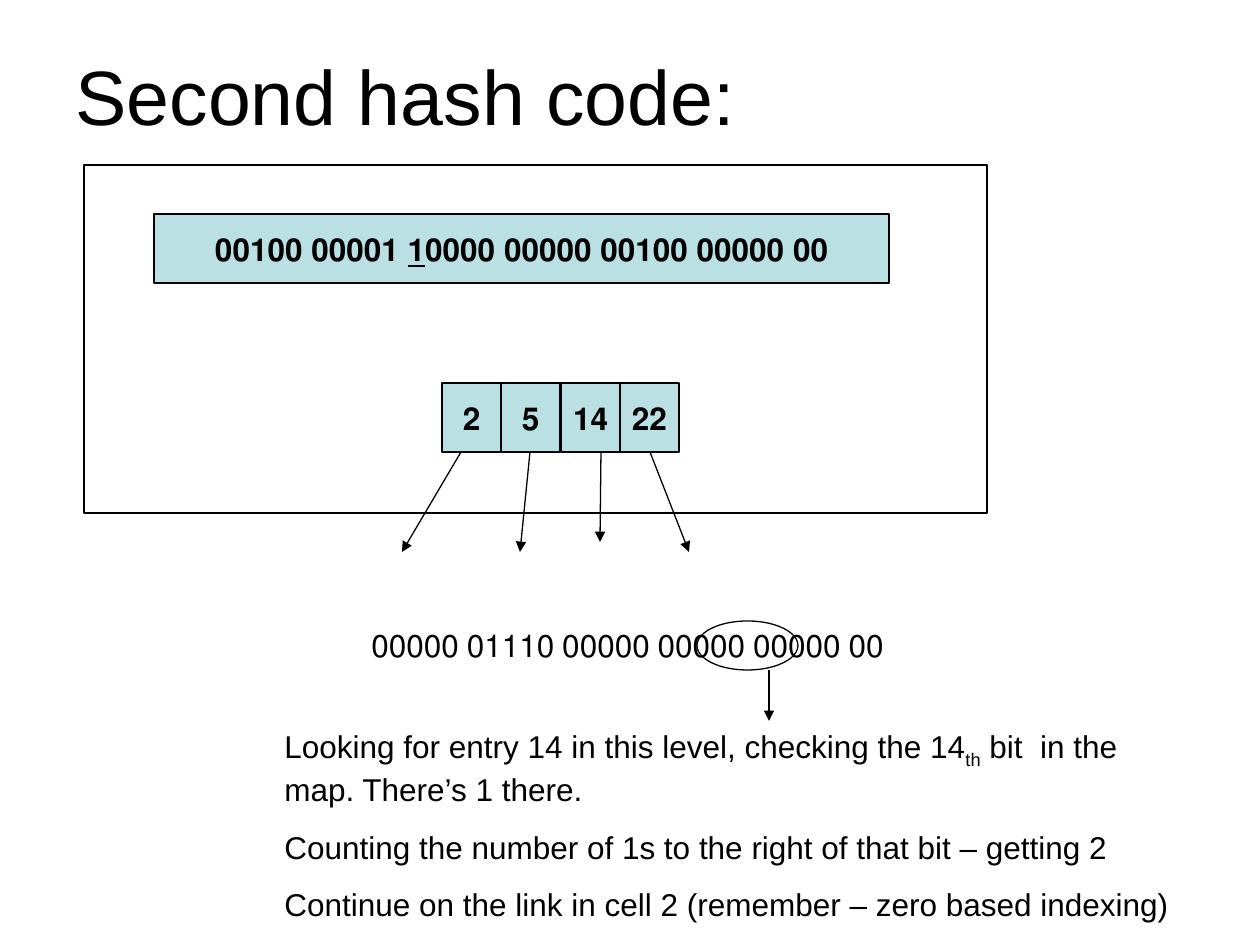
from dataclasses import dataclass
from lxml.etree import SubElement
from pptx import Presentation
from pptx.dml.color import RGBColor as Rgb
from pptx.enum.shapes import MSO_CONNECTOR as Link, MSO_SHAPE as Kind
from pptx.enum.text import MSO_ANCHOR as Anchor, MSO_AUTO_SIZE as Fit, PP_ALIGN as Align
from pptx.oxml.ns import qn
from pptx.util import Emu, Pt

SCALE = 914400 / 126


@dataclass(frozen=True)
class Theme:
    ink: Rgb = Rgb(0, 0, 0)
    fill: Rgb = Rgb(0xBB, 0xE0, 0xE3)
    face: str = "Arial"
    head: int = 44
    body: int = 18
    line: float = 0.75
    gap: float = 11.2


THEME = Theme()


def px(*nums):
    return [Emu(round(n * SCALE)) for n in nums]


def style(para, size, bold=False, align=None, rtl=False):
    if rtl:
        para._p.get_or_add_pPr().set("rtl", "1")
    if align is not None:
        para.alignment = align
    font = para.font
    font.name, font.size, font.bold = THEME.face, Pt(size), bold
    font.color.rgb = THEME.ink


def add_runs(para, *texts):
    runs = []
    for text in texts:
        run = para.add_run()
        run.text = text
        runs.append(run)
    return runs


def add_box(slide, kind, spot, fill=None):
    box = slide.shapes.add_shape(kind, *px(*spot))
    box.shadow.inherit = False
    if fill is None:
        box.fill.background()
    else:
        box.fill.solid()
        box.fill.fore_color.rgb = fill
    box.line.color.rgb = THEME.ink
    box.line.width = Pt(THEME.line)
    return box


def add_cell(slide, spot, *texts):
    box = add_box(slide, Kind.RECTANGLE, spot, THEME.fill)
    frame = box.text_frame
    frame.word_wrap = False
    frame.vertical_anchor = Anchor.MIDDLE
    para = frame.paragraphs[0]
    style(para, THEME.body, bold=True, align=Align.CENTER, rtl=True)
    return add_runs(para, *texts)


def add_arrow(slide, ends):
    arrow = slide.shapes.add_connector(Link.STRAIGHT, *px(*ends))
    arrow.line.color.rgb = THEME.ink
    arrow.line.width = Pt(THEME.line)
    SubElement(arrow.line._get_or_add_ln(), qn("a:tailEnd"), type="triangle")
    SubElement(arrow._element.spPr, qn("a:effectLst"))


def add_text(slide, spot, wrap):
    frame = slide.shapes.add_textbox(*px(*spot)).text_frame
    frame.word_wrap = wrap
    frame.auto_size = Fit.SHAPE_TO_FIT_TEXT
    return frame


def set_title(slide, spot, text):
    title = slide.shapes.title
    title.left, title.top, title.width, title.height = px(*spot)
    frame = title.text_frame
    frame.auto_size = Fit.NONE
    frame.vertical_anchor = Anchor.MIDDLE
    para = frame.paragraphs[0]
    style(para, THEME.head, align=Align.LEFT)
    add_runs(para, text)


def add_notes(slide, spot, rows):
    frame = add_text(slide, spot, True)
    for i, row in enumerate(rows):
        para = frame.add_paragraph() if i else frame.paragraphs[0]
        para.space_before = Pt(THEME.gap if i else 0)
        style(para, THEME.body)
        runs = add_runs(para, *row)
        for run in runs[1:2]:
            run._r.get_or_add_rPr().set("baseline", "-25000")


def main():
    deck = Presentation()
    deck.slide_width, deck.slide_height = px(1260, 945)
    slide = deck.slides.add_slide(deck.slide_layouts[5])

    add_box(slide, Kind.RECTANGLE, (84, 165, 903, 348))
    for i, text in enumerate(("2", "5", "14", "22")):
        add_cell(slide, (442 + i * 238 // 4, 383, 59, 69), text)
    for ends in (
        (461, 452, 402, 552),
        (530, 452, 520, 552),
        (601, 452, 600, 542),
        (650, 452, 689, 552),
    ):
        add_arrow(slide, ends)
    bits = add_cell(slide, (154, 214, 735, 69),
                    "00 00000 00100 00000 ", "1", "0000 00001 00100")
    bits[1].font.underline = True

    set_title(slide, (63, 16, 1134, 158), "Second hash code:")
    code = add_text(slide, (359, 620, 542, 50), False).paragraphs[0]
    style(code, THEME.body, rtl=True)
    add_runs(code, "00 00000 00000 00000 01110 00000")
    add_box(slide, Kind.OVAL, (697, 621, 101, 49))
    add_arrow(slide, (769, 670, 769, 721))
    add_notes(slide, (272, 721, 932, 209), (
        ("Looking for entry 14 in this level, checking the 14", "th",
         " bit  in the map. There’s 1 there."),
        ("Counting the number of 1s to the right of that bit – getting 2",),
        ("Continue on the link in cell 2 (remember – zero based indexing)",),
    ))
    deck.save("out.pptx")


if __name__ == "__main__":
    main()
